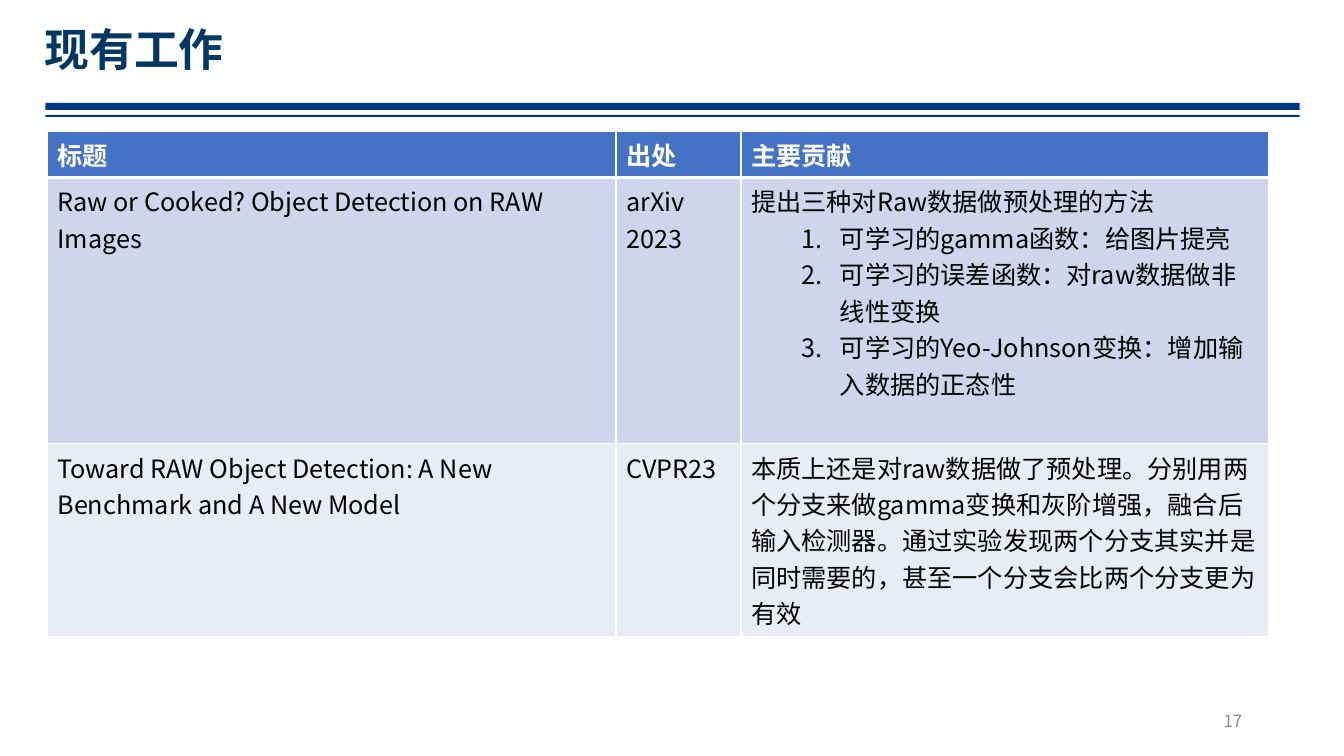
from lxml import etree
from pptx import Presentation
from pptx.dml.color import RGBColor
from pptx.enum.shapes import MSO_SHAPE
from pptx.enum.text import MSO_ANCHOR, PP_ALIGN
from pptx.oxml.ns import qn
from pptx.util import Inches, Pt

RECT = MSO_SHAPE.RECTANGLE
MIDDLE = MSO_ANCHOR.MIDDLE
LEFT, RIGHT = PP_ALIGN.LEFT, PP_ALIGN.RIGHT
CJK = "Noto Sans CJK SC"
TITLE_ONLY = 5

COL_WIDTHS = [5.64, 1.24, 5.23]
ROW_HEIGHTS = [0.45, 2.64, 1.9]
ROW_FILLS = ["4472C4", "CFD5EA", "E9EBF5"]
ROWS = [
    [["标题"], ["出处"], ["主要贡献"]],
    [["Raw or Cooked? Object Detection on RAW Images"],
     ["arXiv 2023"],
     ["提出三种对Raw数据做预处理的方法",
      "可学习的gamma函数：给图片提亮",
      "可学习的误差函数：对raw数据做非线性变换",
      "可学习的Yeo-Johnson变换：增加输入数据的正态性"]],
    [["Toward RAW Object Detection: A New Benchmark and A New Model"],
     ["CVPR23"],
     ["本质上还是对raw数据做了预处理。分别用两个分支来做gamma变换和灰阶增强，"
      "融合后输入检测器。通过实验发现两个分支其实并是同时需要的，"
      "甚至一个分支会比两个分支更为有效"]],
]


def rgb(value):
    """Return the colour for a hex string."""
    return RGBColor.from_string(value)


def add_text(p, text, size=18, color="000000", bold=False, font=CJK, align=LEFT):
    """Write one formatted run into a paragraph."""
    p.alignment = align
    r = p.add_run()
    r.text = text
    r.font.size, r.font.bold, r.font.name = Pt(size), bold, font
    r.font.color.rgb = rgb(color)
    etree.SubElement(r.font._element, qn("a:ea"), typeface=CJK)


def number_paragraph(p):
    """Give a paragraph an indented automatic number."""
    pPr = p._p.get_or_add_pPr()
    pPr.set("marL", str(Inches(0.88)))
    pPr.set("indent", str(Inches(-0.38)))
    etree.SubElement(pPr, qn("a:buFont"), typeface="+mj-lt")
    etree.SubElement(pPr, qn("a:buAutoNum"), type="arabicPeriod")


def set_borders(cell, bottom):
    """Draw white borders round a cell, with the given bottom width."""
    tcPr = cell._tc.get_or_add_tcPr()
    widths = {"lnL": 1, "lnR": 1, "lnT": 1, "lnB": bottom}
    for i, (side, width) in enumerate(widths.items()):
        ln = etree.Element(qn(f"a:{side}"), w=str(Pt(width)))
        fill = etree.SubElement(ln, qn("a:solidFill"))
        etree.SubElement(fill, qn("a:srgbClr"), val="FFFFFF")
        tcPr.insert(i, ln)


def add_header(s, x, y, w):
    """Place the title and the double rule below it."""
    title = s.shapes.title
    title.left, title.top = Inches(x - 0.11), Inches(y)
    title.width, title.height = Inches(11.5), Inches(0.58)
    tf = title.text_frame
    tf.vertical_anchor = MIDDLE
    tf.paragraphs[0].line_spacing = 0.9
    add_text(tf.paragraphs[0], "现有工作", size=32, color="033864", bold=True,
             font="Arial")
    for dy, h in [(0.79, 0.07), (0.91, 0.02)]:
        sp = s.shapes.add_shape(RECT, Inches(x), Inches(y + dy), Inches(w), Inches(h))
        sp.shadow.inherit = False
        sp.fill.solid()
        sp.fill.fore_color.rgb = rgb("023784")
        sp.line.fill.background()


def fill_cell(cell, paragraphs, fill, header):
    """Fill one table cell, numbering every paragraph after the first."""
    cell.fill.solid()
    cell.fill.fore_color.rgb = rgb(fill)
    set_borders(cell, 3 if header else 1)
    tf = cell.text_frame
    for i, text in enumerate(paragraphs):
        p = tf.add_paragraph() if i else tf.paragraphs[0]
        if i:
            number_paragraph(p)
        add_text(p, text, color="FFFFFF" if header else "000000", bold=header)


def add_papers_table(s, x, y):
    """Place the table of related papers."""
    table = s.shapes.add_table(
        len(ROWS), len(COL_WIDTHS), Inches(x), Inches(y),
        Inches(sum(COL_WIDTHS)), Inches(sum(ROW_HEIGHTS))).table
    for col, width in zip(table.columns, COL_WIDTHS):
        col.width = Inches(width)
    for i, (row, height) in enumerate(zip(table.rows, ROW_HEIGHTS)):
        row.height = Inches(height)
        for cell, paragraphs in zip(row.cells, ROWS[i]):
            fill_cell(cell, paragraphs, ROW_FILLS[i], header=i == 0)


def add_page_number(s, x, y, w, h):
    """Place the page number."""
    tf = s.shapes.add_textbox(Inches(x), Inches(y), Inches(w), Inches(h)).text_frame
    tf.word_wrap = True
    tf.vertical_anchor = MIDDLE
    add_text(tf.paragraphs[0], "17", size=12, color="8C8C8C", align=RIGHT)


def main():
    """Build and save the slide."""
    prs = Presentation()
    prs.slide_width, prs.slide_height = Inches(13.33), Inches(7.5)
    s = prs.slides.add_slide(prs.slide_layouts[TITLE_ONLY])
    add_header(s, 0.45, 0.23, 12.44)
    add_papers_table(s, 0.47, 1.3)
    add_page_number(s, 9.42, 6.95, 3, 0.4)
    prs.save("out.pptx")


if __name__ == "__main__":
    main()
